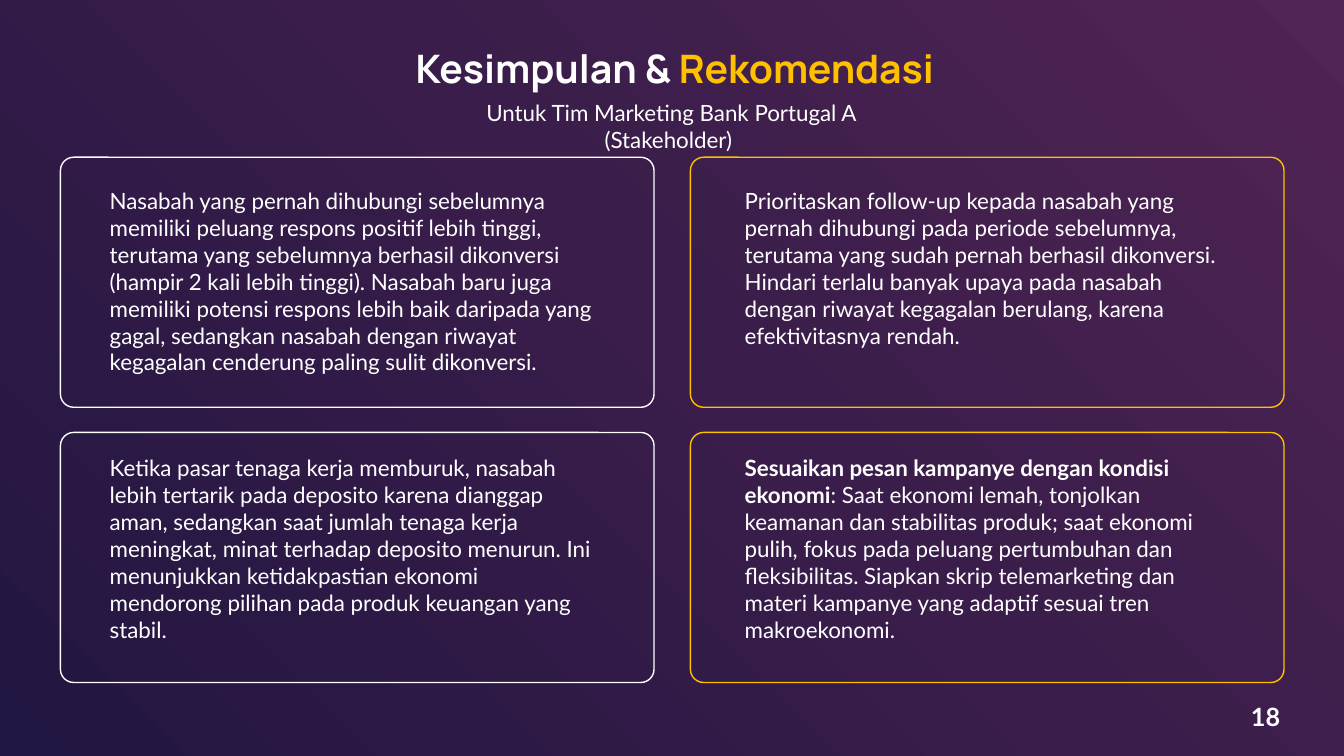
from lxml import etree
from pptx import Presentation
from pptx.dml.color import RGBColor
from pptx.enum.shapes import MSO_SHAPE
from pptx.enum.text import MSO_ANCHOR, MSO_AUTO_SIZE, PP_ALIGN
from pptx.oxml.ns import qn
from pptx.util import Pt

ROUNDED = MSO_SHAPE.ROUNDED_RECTANGLE
MIDDLE = MSO_ANCHOR.MIDDLE
CENTER = PP_ALIGN.CENTER
LEFT = PP_ALIGN.LEFT
COLORS = {
    "white": "FFFFFF",
    "gold": "FFC000",
    "plum": "502453",
    "purple": "3A1D4A",
    "navy": "211641",
}


def write_spans(para, spans, font, size, align):
    para.alignment = align
    for text, bold, color in spans:
        span = para.add_run()
        span.text = text
        span.font.name = font
        span.font.size = Pt(size)
        span.font.bold = bold
        span.font.color.rgb = RGBColor.from_string(COLORS[color])


def add_text(page, left, top, width, height, spans, size=16, align=LEFT):
    box = page.shapes.add_textbox(Pt(left), Pt(top), Pt(width), Pt(height))
    box.text_frame.word_wrap = True
    box.text_frame.auto_size = MSO_AUTO_SIZE.SHAPE_TO_FIT_TEXT
    write_spans(box.text_frame.paragraphs[0], spans, "Lato", size, align)


deck = Presentation()
deck.slide_width = Pt(960)
deck.slide_height = Pt(540)
page = deck.slides.add_slide(deck.slide_layouts[5])

page.background.fill.gradient()
gradient = next(page.element.iter(qn("a:gradFill")))
for child in list(gradient):
    gradient.remove(child)
stops = etree.SubElement(gradient, qn("a:gsLst"))
for position, color in ((0, "plum"), (47, "purple"), (100, "navy")):
    stop = etree.SubElement(stops, qn("a:gs"), pos=str(position * 1000))
    etree.SubElement(stop, qn("a:srgbClr"), val=COLORS[color])
radial = etree.SubElement(gradient, qn("a:path"), path="circle")
etree.SubElement(radial, qn("a:fillToRect"), l="100000", b="100000")

title = page.shapes.title
title.left, title.top, title.width, title.height = Pt(48), Pt(21), Pt(868), Pt(55)
title.text_frame.auto_size = MSO_AUTO_SIZE.NONE
title.text_frame.vertical_anchor = MIDDLE
title_spans = [("Kesimpulan & ", True, "white"), ("Rekomendasi", True, "gold")]
write_spans(title.text_frame.paragraphs[0], title_spans, "Manrope", 28, CENTER)

subtitle = "Untuk Tim Marketing Bank Portugal A (Stakeholder) "
add_text(page, 295.2, 67.5, 368.6, 26.6, [(subtitle, False, "white")], align=CENTER)

columns = [
    (43.2, 71.3, "white", [
        [("Nasabah yang pernah dihubungi sebelumnya memiliki peluang respons positif "
          "lebih tinggi, terutama yang sebelumnya berhasil dikonversi (hampir 2 kali "
          "lebih tinggi). Nasabah baru juga memiliki potensi respons lebih baik "
          "daripada yang gagal, sedangkan nasabah dengan riwayat kegagalan cenderung "
          "paling sulit dikonversi.", False, "white")],
        [("Ketika pasar tenaga kerja memburuk, nasabah lebih tertarik pada deposito "
          "karena dianggap aman, sedangkan saat jumlah tenaga kerja meningkat, minat "
          "terhadap deposito menurun. Ini menunjukkan ketidakpastian ekonomi "
          "mendorong pilihan pada produk keuangan yang stabil.", False, "white")],
    ]),
    (493.2, 524.9, "gold", [
        [("Prioritaskan follow-up kepada nasabah yang pernah dihubungi pada periode "
          "sebelumnya, terutama yang sudah pernah berhasil dikonversi. Hindari "
          "terlalu banyak upaya pada nasabah dengan riwayat kegagalan berulang, "
          "karena efektivitasnya rendah.", False, "white")],
        [("Sesuaikan pesan kampanye dengan kondisi ekonomi", True, "white"),
         (": Saat ekonomi lemah, tonjolkan keamanan dan stabilitas produk; saat "
          "ekonomi pulih, fokus pada peluang pertumbuhan dan fleksibilitas. Siapkan "
          "skrip telemarketing dan materi kampanye yang adaptif sesuai tren "
          "makroekonomi.", False, "white")],
    ]),
]
rows = [(112.3, 130.3), (308.9, 321.1)]

for card_left, text_left, outline, messages in columns:
    for (card_top, text_top), spans in zip(rows, messages):
        card = page.shapes.add_shape(
            ROUNDED, Pt(card_left), Pt(card_top), Pt(424), Pt(178.6))
        card.adjustments[0] = 0.053
        card.shadow.inherit = False
        card.fill.background()
        card.line.color.rgb = RGBColor.from_string(COLORS[outline])
        card.line.width = Pt(1)
        add_text(page, text_left, text_top, 360, 143, spans)

add_text(page, 884.9, 497.5, 38.2, 28.8, [("18", True, "white")], 18, CENTER)

deck.save("out.pptx")
